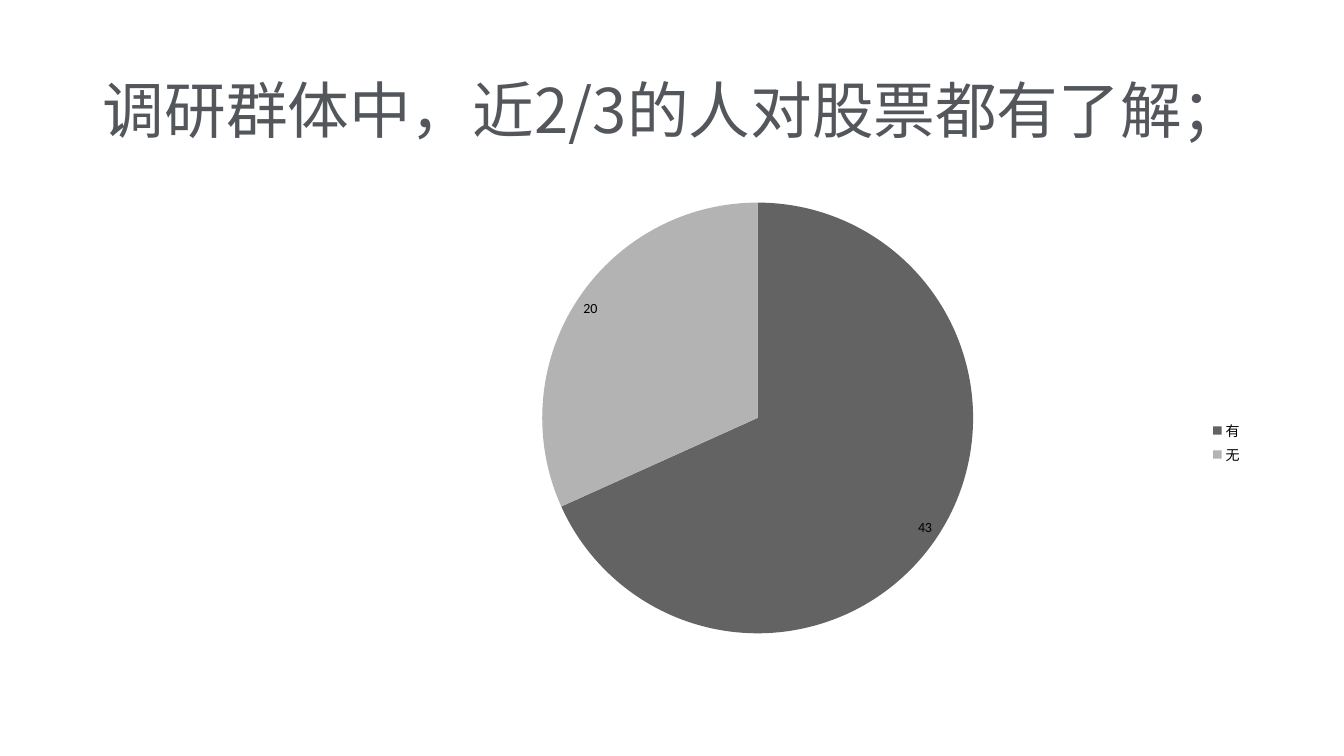
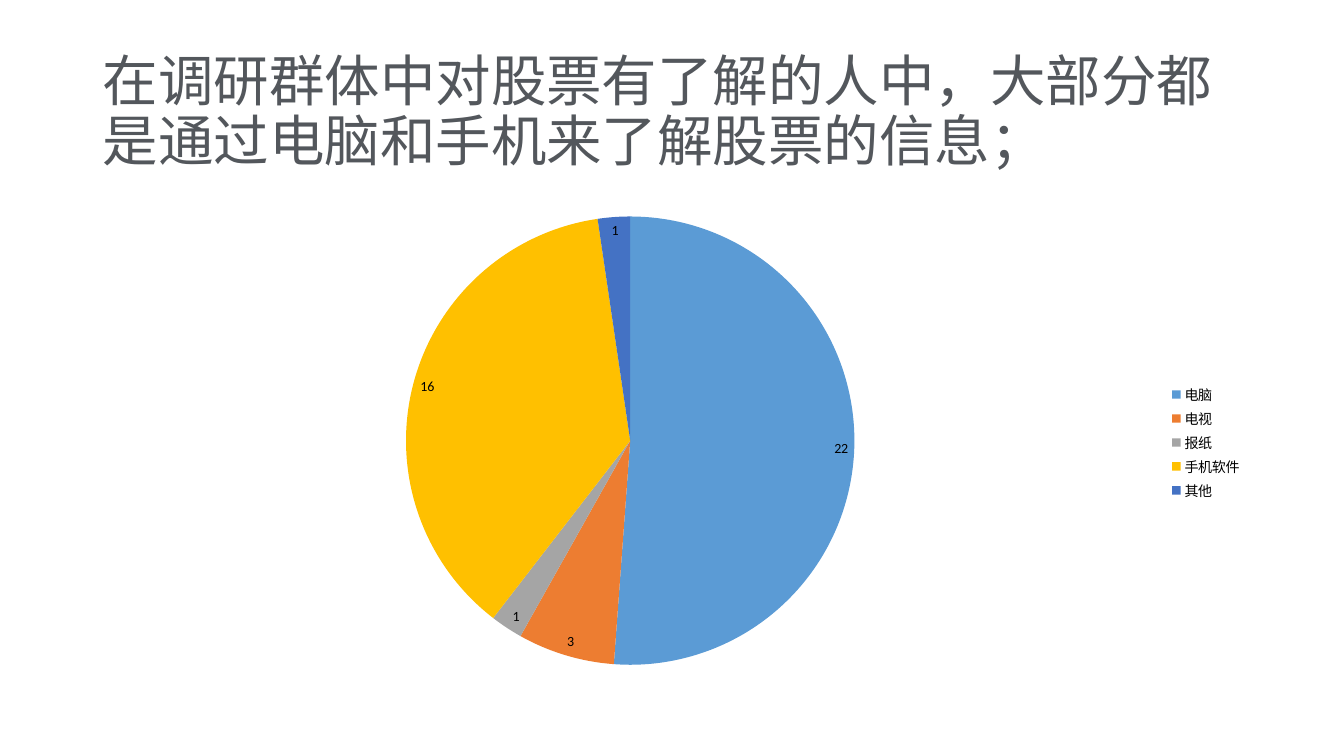
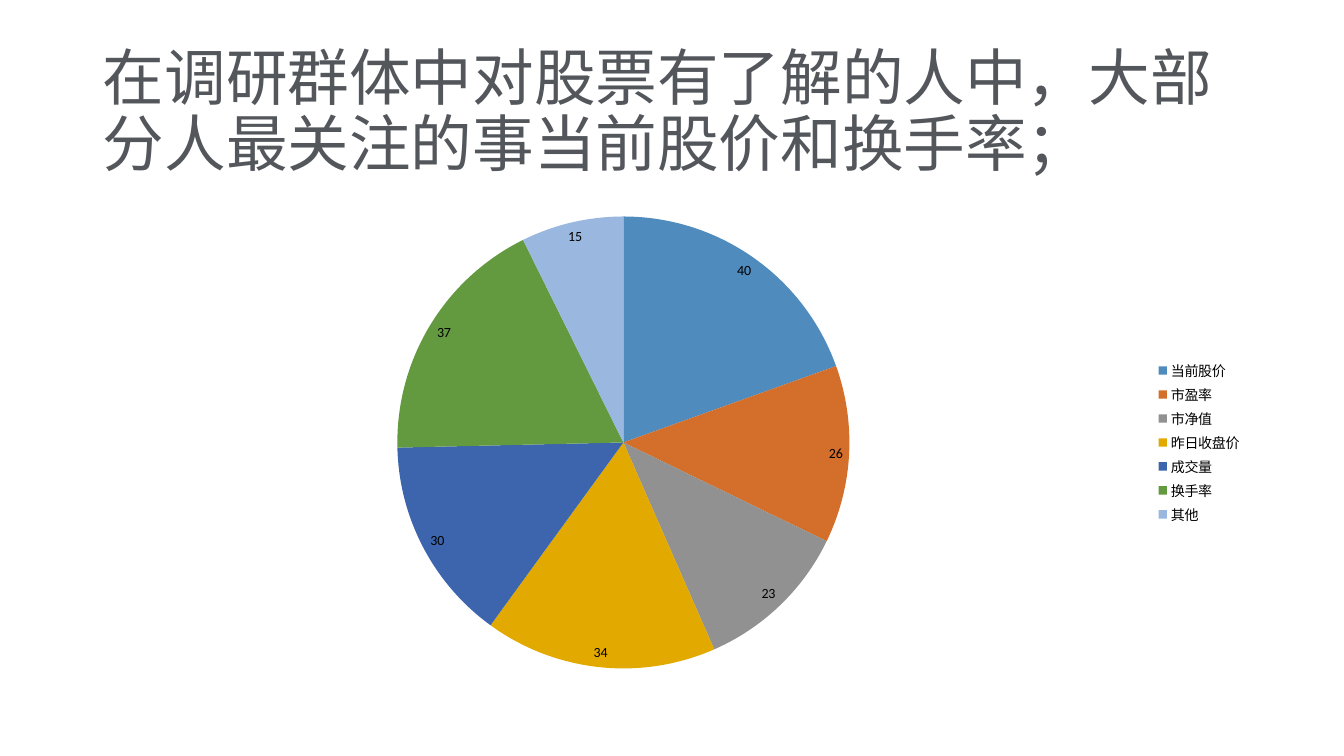
from dataclasses import dataclass

from lxml import etree
from pptx import Presentation
from pptx import util as u
from pptx.chart.data import CategoryChartData
from pptx.dml.color import RGBColor
from pptx.enum import chart as charts, text
from pptx.oxml.ns import qn


@dataclass(frozen=True)
class Theme:
    """Colours, fonts, type sizes and places shared by the pages."""
    ink: str = "53575C"
    label: str = "000000"
    title_font: str = "Noto Sans CJK SC"
    chart_font: str = "Calibri"
    title_size: float = 44
    small_title_size: float = 39.6
    chart_size: float = 10
    title_area: tuple = (0.92, 0.4, 11.5, 1.45)
    chart_area: tuple = (0.92, 2.01, 11.5, 4.76)
    greys: tuple = ("636363", "B3B3B3")
    brights: tuple = ("5B9BD5", "ED7D31", "A5A5A5", "FFC000", "4472C4")
    deeps: tuple = ("508BBE", "D36F2B", "919191", "E2AA00", "3D65AD",
                    "639A3F", "99B7DF")


THEME = Theme()

PAGES = (
    dict(title="调研群体中，近2/3的人对股票都有了解；",
         size=THEME.title_size,
         answers={"有": 43, "无": 20},
         colours=THEME.greys,
         plot_area=(0.15, 0, 0.847, 0.898)),
    dict(title="在调研群体中对股票有了解的人中，大部分都是通过电脑和手机来了解股票的信息；",
         size=THEME.small_title_size,
         answers={"电脑": 22, "电视": 3, "报纸": 1, "手机软件": 16, "其他": 1},
         colours=THEME.brights),
    dict(title="在调研群体中对股票有了解的人中，大部分人最关注的事当前股价和换手率；",
         size=THEME.title_size,
         answers={"当前股价": 40, "市盈率": 26, "市净值": 23, "昨日收盘价": 34,
                  "成交量": 30, "换手率": 37, "其他": 15},
         colours=THEME.deeps),
)


def apply_format(target, values):
    """Set each attribute named in values on the target."""
    for name, value in values.items():
        setattr(target, name, value)


def style_font(font, name, size, colour):
    """Give a font its typeface, size and colour."""
    apply_format(font, dict(name=name, size=u.Pt(size), bold=False))
    font.color.rgb = RGBColor.from_string(colour)


def add_title(page, wording, size):
    """Place, fill and format the title placeholder."""
    box = page.shapes.title
    sides = ("left", "top", "width", "height")
    apply_format(box, dict(zip(sides, map(u.Inches, THEME.title_area))))
    apply_format(box.text_frame, dict(
        text=wording, word_wrap=True, auto_size=text.MSO_AUTO_SIZE.NONE,
        vertical_anchor=text.MSO_ANCHOR.MIDDLE))
    para = box.text_frame.paragraphs[0]
    apply_format(para, dict(alignment=text.PP_ALIGN.LEFT, line_spacing=0.9,
                            space_before=u.Pt(0)))
    span = para.runs[0]
    style_font(span.font, THEME.title_font, size, THEME.ink)
    east_asian = etree.Element(qn("a:ea"), typeface=THEME.title_font)
    span.font._element.find(qn("a:latin")).addnext(east_asian)


def fix_plot_area(chart, area):
    """Pin the inner plot area to fractions of the chart's size."""
    plot_area = chart._chartSpace.find(".//" + qn("c:plotArea"))
    for old in plot_area.findall(qn("c:layout")):
        plot_area.remove(old)
    layout = etree.Element(qn("c:layout"))
    manual = etree.SubElement(layout, qn("c:manualLayout"))
    settings = [("layoutTarget", "inner"), ("xMode", "edge"), ("yMode", "edge")]
    settings += zip("xywh", area)
    for tag, value in settings:
        etree.SubElement(manual, qn("c:" + tag), val=str(value))
    plot_area.insert(0, layout)


def add_pie(page, answers, colours, plot_area=None):
    """Add a pie of answer counts with value labels and a right legend."""
    counts = CategoryChartData()
    counts.categories = list(answers)
    counts.add_series("Series 1", list(answers.values()))
    chart = page.shapes.add_chart(
        charts.XL_CHART_TYPE.PIE, *map(u.Inches, THEME.chart_area), counts).chart
    apply_format(chart, dict(has_title=False, has_legend=True))
    apply_format(chart.legend, dict(
        position=charts.XL_LEGEND_POSITION.RIGHT, include_in_layout=False))
    pie = chart.plots[0]
    apply_format(pie, dict(vary_by_categories=True, has_data_labels=True))
    apply_format(pie.data_labels, dict(
        show_value=True, show_percentage=False,
        position=charts.XL_LABEL_POSITION.BEST_FIT))
    for part in (chart, chart.legend, pie.data_labels):
        style_font(part.font, THEME.chart_font, THEME.chart_size, THEME.label)
    for index, colour in enumerate(colours):
        fill = pie.series[0].points[index].format.fill
        fill.solid()
        fill.fore_color.rgb = RGBColor.from_string(colour)
    if plot_area:
        fix_plot_area(chart, plot_area)


def add_survey_page(deck, title, size, **pie):
    """Add one page with a finding and its pie chart."""
    title_only = deck.slide_layouts.get_by_name("Title Only")
    page = deck.slides.add_slide(title_only)
    add_title(page, title, size)
    add_pie(page, **pie)


def main():
    """Build and save the deck."""
    deck = Presentation()
    apply_format(deck, dict(slide_width=u.Inches(13.33),
                            slide_height=u.Inches(7.5)))
    for content in PAGES:
        add_survey_page(deck, **content)
    deck.save("out.pptx")


main()
